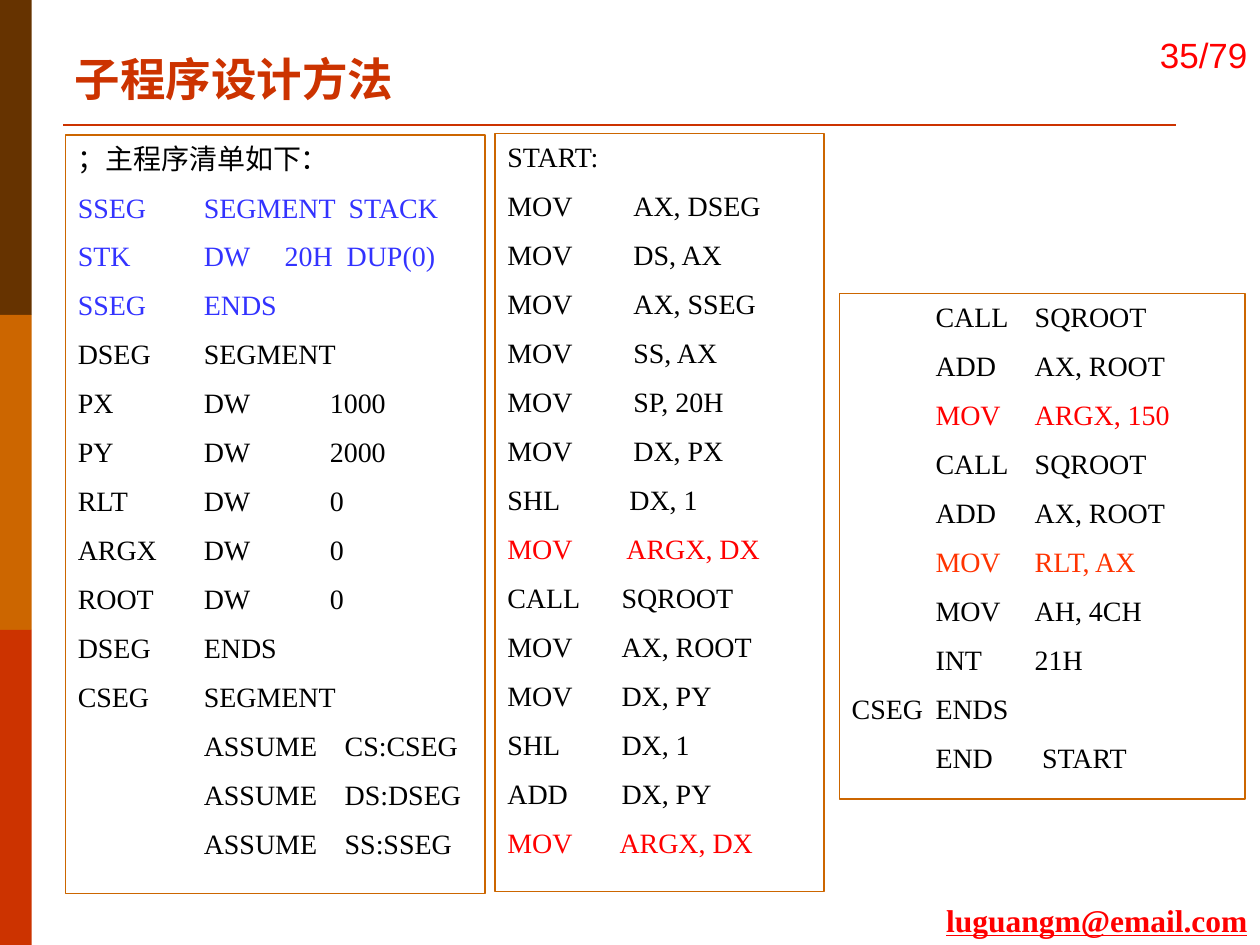
from dataclasses import dataclass

from lxml import etree
from pptx import Presentation
from pptx.dml.color import RGBColor
from pptx.enum.shapes import MSO_CONNECTOR, MSO_SHAPE
from pptx.enum.text import MSO_ANCHOR, PP_ALIGN
from pptx.oxml.ns import qn
from pptx.util import Cm, Pt

RECTANGLE, STRAIGHT = MSO_SHAPE.RECTANGLE, MSO_CONNECTOR.STRAIGHT
TOP, MIDDLE = MSO_ANCHOR.TOP, MSO_ANCHOR.MIDDLE
LEFT, RIGHT = PP_ALIGN.LEFT, PP_ALIGN.RIGHT
TITLE_ONLY = 5


@dataclass(frozen=True)
class Theme:
    serif: str = "Times New Roman"
    sans: str = "Arial"
    title_size: float = 26
    number_size: float = 20
    mail_size: float = 18
    code_size: float = 16
    code_gap: float = 8.8
    brown: str = "663300"
    amber: str = "CC6600"
    rust: str = "CC3300"
    black: str = "000000"
    blue: str = "3333FF"
    red: str = "FF0000"
    orange: str = "FF3300"


theme = Theme()

# Content
TITLE = "子程序设计方法"
PAGE_NUMBER = "35/79"
MAIL = "luguangm@email.com"

# Each code group: tab stops in cm, then (colour, lines) runs of equal colour
DATA_SEGMENT = [
    ((2.54, 5.08), theme.black, ["；主程序清单如下："]),
    ((2.54, 5.46), theme.blue, ["SSEG\tSEGMENT\tSTACK"]),
    ((2.54, 4.17, 5.42), theme.blue, ["STK\tDW\t20H\tDUP(0)"]),
    ((2.54,), theme.blue, ["SSEG\tENDS"]),
    ((2.54, 5.08), theme.black, [
        "DSEG\tSEGMENT", "PX\tDW\t1000", "PY\tDW\t2000", "RLT\tDW\t0",
        "ARGX\tDW\t0", "ROOT\tDW\t0", "DSEG\tENDS", "CSEG\tSEGMENT"]),
    ((2.54, 5.38), theme.black, [
        "\tASSUME\tCS:CSEG", "\tASSUME\tDS:DSEG", "\tASSUME\tSS:SSEG"]),
]
START_CODE = [
    ((2.54,), theme.black, [
        "START:", "MOV\tAX, DSEG", "MOV\tDS, AX", "MOV\tAX, SSEG",
        "MOV\tSS, AX", "MOV\tSP, 20H", "MOV\tDX, PX"]),
    ((2.46,), theme.black, ["SHL\tDX, 1"]),
    ((2.4,), theme.red, ["MOV\tARGX, DX"]),
    ((2.3,), theme.black, [
        "CALL\tSQROOT", "MOV\tAX, ROOT", "MOV\tDX, PY", "SHL\tDX, 1",
        "ADD\tDX, PY"]),
    ((2.26,), theme.red, ["MOV\tARGX, DX"]),
]
CALL_CODE = [
    ((1.69, 3.69), theme.black, ["\tCALL\tSQROOT", "\tADD\tAX, ROOT"]),
    ((1.69, 3.69), theme.red, ["\tMOV\tARGX, 150"]),
    ((1.69, 3.69), theme.black, ["\tCALL\tSQROOT", "\tADD\tAX, ROOT"]),
    ((1.69, 3.69), theme.orange, ["\tMOV\tRLT, AX"]),
    ((1.69, 3.69), theme.black, [
        "\tMOV\tAH, 4CH", "\tINT\t21H", "CSEG\tENDS"]),
    ((1.69, 3.84), theme.black, ["\tEND\tSTART"]),
]

# Left, top, width, height in cm
CODE_BOXES = [
    ((1.32, 2.72, 8.46, 15.29), DATA_SEGMENT),
    ((9.98, 2.69, 6.63, 15.29), START_CODE),
    ((16.92, 5.92, 8.18, 10.19), CALL_CODE),
]


def color(value):
    return RGBColor.from_string(value)


def place(box, left, top, width, height):
    box.left, box.top = Cm(left), Cm(top)
    box.width, box.height = Cm(width), Cm(height)


def format_span(para, size, ink, name=theme.serif, bold=False, underline=False):
    for span in para.runs:
        font = span.font
        font.name, font.size = name, Pt(size)
        font.bold, font.underline = bold, underline
        font.color.rgb = color(ink)


def set_line(box, text, align, anchor, **style):
    frame = box.text_frame
    frame.text = text
    frame.vertical_anchor = anchor
    para = frame.paragraphs[0]
    para.alignment = align
    format_span(para, **style)


def add_tabs(para, stops):
    tabs = etree.SubElement(para._p.get_or_add_pPr(), qn("a:tabLst"))
    for stop in stops:
        etree.SubElement(tabs, qn("a:tab"), pos=str(int(Cm(stop))), algn="l")


def add_code_box(page, area, groups):
    box = page.shapes.add_shape(RECTANGLE, *map(Cm, area))
    box.shadow.inherit = False
    box.fill.background()
    box.line.color.rgb = color(theme.amber)
    box.line.width = Pt(0.75)
    frame = box.text_frame
    frame.word_wrap = True
    frame.vertical_anchor = TOP
    rows = [(stops, ink, line) for stops, ink, lines in groups for line in lines]
    for index, (stops, ink, line) in enumerate(rows):
        para = frame.add_paragraph() if index else frame.paragraphs[0]
        para.text = line
        add_tabs(para, stops)
        para.alignment = LEFT
        if index:
            para.space_before = Pt(theme.code_gap)
        format_span(para, theme.code_size, ink)


def main():
    deck = Presentation()
    deck.slide_width, deck.slide_height = Cm(25.4), Cm(19.05)
    page = deck.slides.add_slide(deck.slide_layouts[TITLE_ONLY])

    # Side bands and rule under the title
    band_height = 19.05 / 3
    for index, fill in enumerate((theme.brown, theme.amber, theme.rust)):
        band = page.shapes.add_shape(
            RECTANGLE, 0, Cm(index * band_height), Cm(0.64), Cm(band_height))
        band.shadow.inherit = False
        band.fill.solid()
        band.fill.fore_color.rgb = color(fill)
        band.line.fill.background()
    rule = page.shapes.add_connector(STRAIGHT, Cm(1.27), Cm(2.52), Cm(23.7), Cm(2.52))
    rule.line.color.rgb = color(theme.rust)
    rule.line.width = Pt(1.5)
    etree.SubElement(rule._element.spPr, qn("a:effectLst"))

    # Title, page number and mail address
    title = page.shapes.title
    place(title, 1.25, 0.89, 17.75, 1.37)
    set_line(title, TITLE, LEFT, MIDDLE, size=theme.title_size, ink=theme.rust, bold=True)
    number = page.shapes.add_textbox(Cm(22.3), Cm(0.03), Cm(3.1), Cm(2.13))
    set_line(number, PAGE_NUMBER, RIGHT, MIDDLE,
             size=theme.number_size, ink=theme.red, name=theme.sans)
    number.text_frame.word_wrap = True
    mail = page.shapes.add_textbox(Cm(18.77), Cm(18.03), Cm(6.63), Cm(1.02))
    set_line(mail, MAIL, RIGHT, TOP,
             size=theme.mail_size, ink=theme.red, bold=True, underline=True)

    # Program listings
    for area, groups in CODE_BOXES:
        add_code_box(page, area, groups)

    deck.save("out.pptx")


if __name__ == "__main__":
    main()
